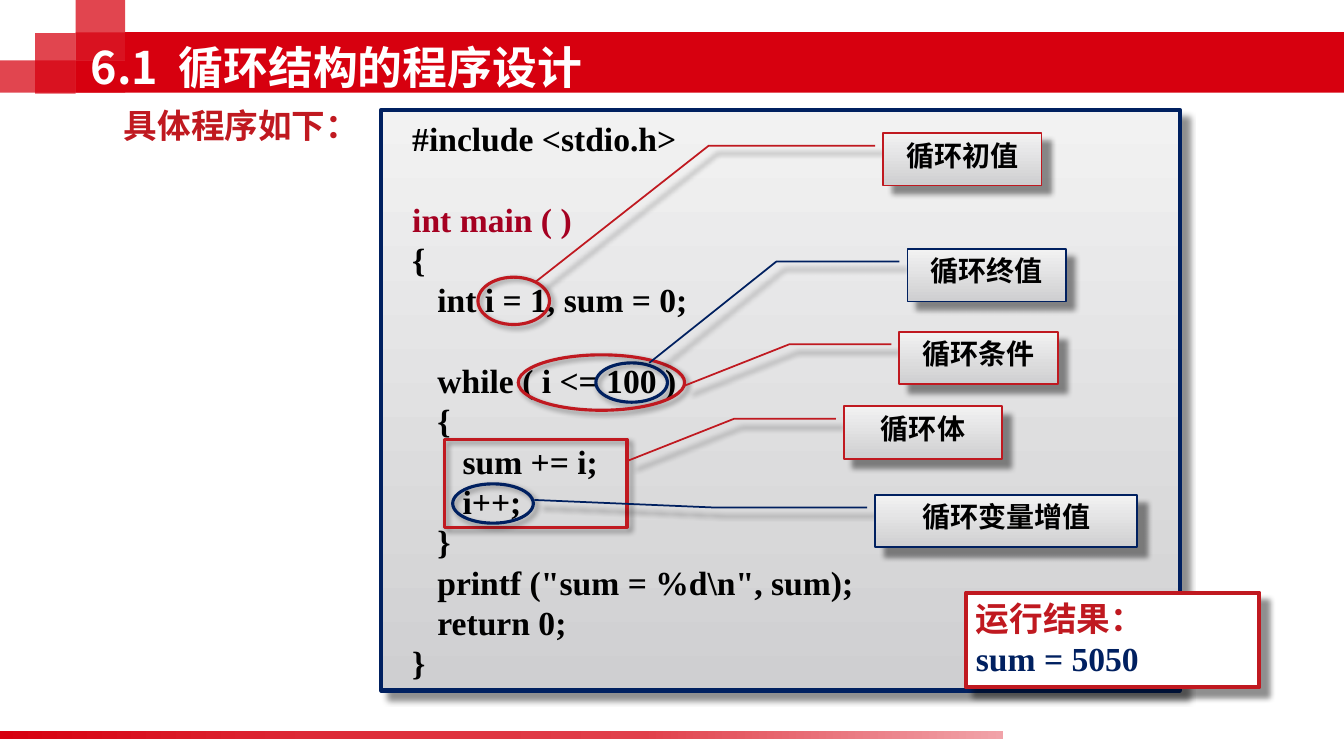
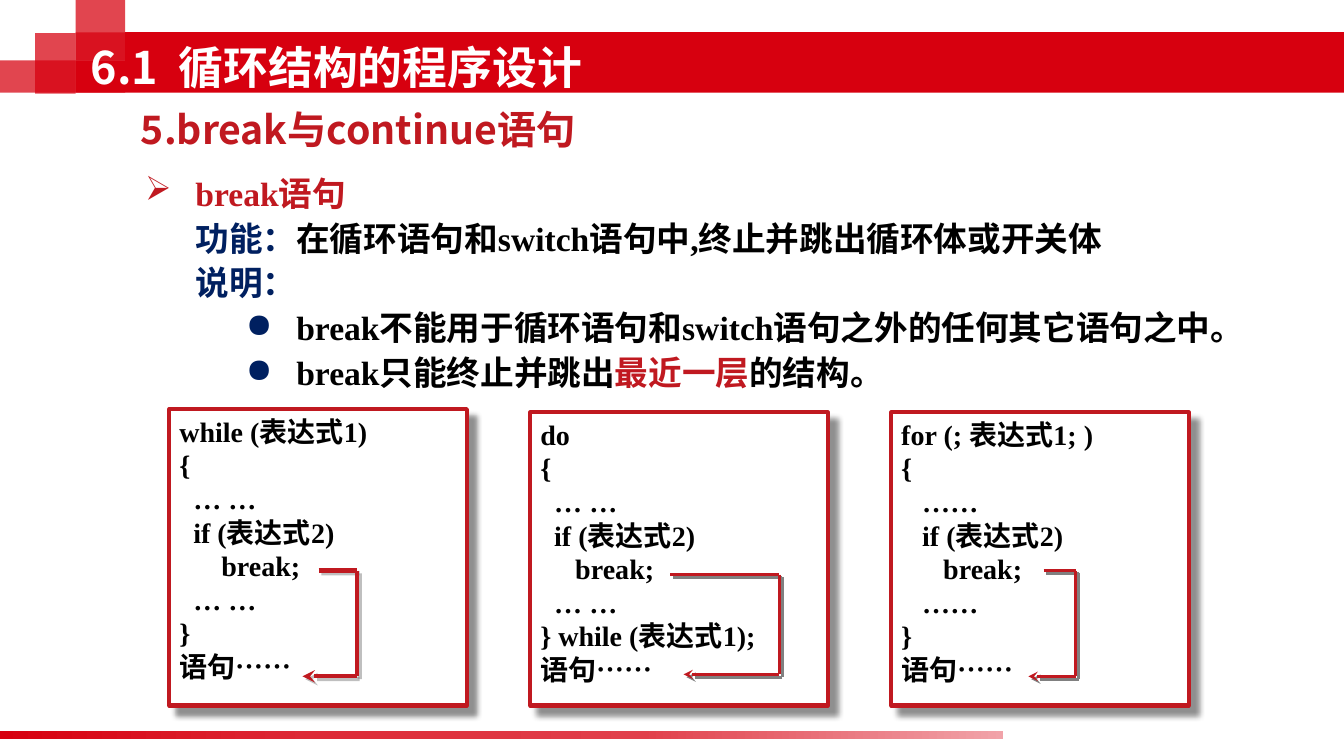
from lxml import etree
from pptx import Presentation
from pptx.dml.color import RGBColor
from pptx.enum import shapes, text
from pptx.oxml.ns import qn
from pptx.util import Inches, Pt

# Shared style
BAND, RED, NAVY, BLACK, WHITE = "D7000F", "C01920", "002060", "000000", "FFFFFF"
CRIMSON = "A50021"
SANS, SERIF = "Noto Sans CJK SC", "Times New Roman"
SILVER = [(0, "CFCFD1"), (100, "F2F2F2")]
# Shadows: colour, opacity %, blur pt, distance pt
DEEP = ("000000", 43, 4, 8.4)
SOFT = ("000000", 40, 4, 3)
SHAPE, MIDDLE = shapes.MSO_SHAPE, text.MSO_ANCHOR.MIDDLE


def rgb(value):
    return RGBColor.from_string(value)


def sub(parent, tag, **attrs):
    return etree.SubElement(parent, qn(tag), {k: str(v) for k, v in attrs.items()})


def color_node(parent, value, opacity=100):
    node = sub(parent, "a:srgbClr", val=value)
    if opacity < 100:
        sub(node, "a:alpha", val=opacity * 1000)


# Fills and shadows
def gradient(sp, stops, angle):
    sp.fill.gradient()
    sp.fill.gradient_angle = angle
    gs_list = sp.element.spPr.find(".//" + qn("a:gsLst"))
    for gs in list(gs_list):
        gs_list.remove(gs)
    for pos, value in stops:
        color_node(sub(gs_list, "a:gs", pos=pos * 1000), value)


def cast_shadow(sp, shadow):
    """Call after the line is set, so that the effects follow it."""
    spPr = sp.element.spPr
    effects = spPr.find(qn("a:effectLst"))
    if effects is None:
        effects = sub(spPr, "a:effectLst")
    if shadow:
        value, opacity, blur, dist = shadow
        outer = sub(effects, "a:outerShdw", blurRad=Pt(blur), dist=Pt(dist),
                    dir=45 * 60000, algn="tl", rotWithShape=0)
        color_node(outer, value, opacity)


# Shapes
def add_shape(s, kind, box, fill=None, line=None, width=3, shadow=None):
    sp = s.shapes.add_shape(kind, *map(Inches, box))
    sp.shadow.inherit = False
    if isinstance(fill, list):
        gradient(sp, fill, 90)
    elif fill:
        sp.fill.solid()
        sp.fill.fore_color.rgb = rgb(fill)
    else:
        sp.fill.background()
    if line:
        sp.line.color.rgb = rgb(line)
        sp.line.width = Pt(width)
    else:
        sp.line.fill.background()
    cast_shadow(sp, shadow)
    return sp


def add_line(s, start, end, width, shadow, arrow=False):
    ln = s.shapes.add_connector(shapes.MSO_CONNECTOR.STRAIGHT,
                                *map(Inches, (*start, *end)))
    ln.line.color.rgb = rgb(RED)
    ln.line.width = Pt(width)
    if arrow:
        sub(ln.line._get_or_add_ln(), "a:tailEnd", type="stealth")
    cast_shadow(ln, shadow)


# Text
def write(p, runs, size, font, spacing=None, align=text.PP_ALIGN.LEFT):
    """Fill a paragraph with (text, colour) runs."""
    p.alignment = align
    p.line_spacing = Pt(spacing or size * 1.2)
    for words, value in runs:
        r = p.add_run()
        r.text = words
        r.font.size = Pt(size)
        r.font.bold = True
        r.font.name = font
        r.font.color.rgb = rgb(value)
        sub(r.font._element, "a:ea", typeface=SANS)


def paragraphs(tf, count):
    return [tf.paragraphs[0]] + [tf.add_paragraph() for _ in range(count - 1)]


def write_lines(sp, lines, size):
    """Left-aligned serif lines of one (text, colour) run each."""
    tf = sp.text_frame
    tf.word_wrap = True
    tf.vertical_anchor = text.MSO_ANCHOR.TOP
    for p, run in zip(paragraphs(tf, len(lines)), lines):
        write(p, [run], size, SERIF)


def indent(p, left, first, bullet=None, bullet_color=None):
    pPr = p._p.get_or_add_pPr()
    pPr.set("marL", str(Inches(left)))
    pPr.set("indent", str(Inches(first)))
    if bullet_color:
        color_node(sub(pPr, "a:buClr"), bullet_color)
    if bullet:
        sub(pPr, "a:buChar", char=bullet)


def add_heading(s, box, words, size):
    tf = s.shapes.add_textbox(*map(Inches, box)).text_frame
    tf.word_wrap = False
    tf.vertical_anchor = MIDDLE
    write(tf.paragraphs[0], [(words, RED)], size, SANS)


# Frame shared by all slides
def decorate_layout(s, layout):
    """Draw the band, corner blocks and footer bar, then keep them on the layout."""
    parts = [add_shape(s, SHAPE.RECTANGLE, (1.24, 0.32, 12.09, 0.6), BAND)]
    for box in ((0, 0.6, 1.24, 0.32), (0.35, 0.33, 0.4, 0.6),
                (0.75, -0.02, 0.49, 0.62), (0.75, 0.32, 0.49, 0.28)):
        block = add_shape(s, SHAPE.RECTANGLE, box, BAND)
        sub(block.element.spPr.find(".//" + qn("a:srgbClr")), "a:alpha", val=73000)
        parts.append(block)
    parts.append(add_shape(s, SHAPE.RECTANGLE, (0.75, 0.6, 0.49, 0.32), BAND))
    bar = add_shape(s, SHAPE.RECTANGLE, (-0.02, 7.25, 9.97, 0.08))
    gradient(bar, [(0, BAND), (31, "DD2936"), (64, "E1404B"), (100, "F1A3A9")], 0)
    for part in parts + [bar]:
        layout.shapes.element.append(part.element)


def new_slide(prs):
    s = prs.slides.add_slide(prs.slide_layouts[5])
    title = s.shapes.title
    title.left, title.top, title.width, title.height = map(
        Inches, (0.8, 0.33, 8.9, 0.67))
    title.text_frame.vertical_anchor = MIDDLE
    write(title.text_frame.paragraphs[0], [("6.1  循环结构的程序设计", WHITE)], 32, SANS)
    return s


# Slide 1: annotated program
CODE = """#include <stdio.h>

int main ( )
{
   int i = 1, sum = 0;

   while ( i <= 100 )
   {
      sum += i;
      i++;
   }
   printf ("sum = %d\\n", sum);
   return 0;
}"""


def add_code(s):
    sp = add_shape(s, SHAPE.RECTANGLE, (3.78, 1.09, 7.92, 5.76), SILVER, NAVY,
                   shadow=DEEP)
    tf = sp.text_frame
    tf.word_wrap = True
    tf.vertical_anchor = MIDDLE
    lines = CODE.split("\n")
    rows = [(i, line) for i, line in enumerate(lines) if line]
    for p, (i, line) in zip(paragraphs(tf, len(rows)), rows):
        indent(p, 0, 0.21)
        write(p, [(line, CRIMSON if "main" in line else BLACK)], 24, SERIF)
        if i and not lines[i - 1]:
            p.space_before = Pt(28.8)  # one empty line of code


def add_mark(s, kind, box, value):
    add_shape(s, kind, box, line=value, width=2.25, shadow=SOFT)


def add_callout(s, words, value, x, y, elbow_x, target, w=1.57):
    """Label whose leader runs level to elbow_x, then to the target point."""
    h, level = 0.52, 0.24
    sp = add_shape(s, SHAPE.LINE_CALLOUT_2, (x, y, w, h), SILVER, value, 1.25, DEEP)
    target_x, target_y = target
    leader = (level, -0.08 / w, level, (elbow_x - x) / w,
              (target_y - y) / h, (target_x - x) / w)
    for i, ratio in enumerate(leader):
        sp.adjustments[i] = ratio
    tf = sp.text_frame
    tf.vertical_anchor = text.MSO_ANCHOR.TOP
    write(tf.paragraphs[0], [(words, BLACK)], 20, SANS, align=text.PP_ALIGN.CENTER)


def program_slide(s):
    add_heading(s, (1.13, 0.99, 2.56, 0.5), "具体程序如下：", 24)
    add_code(s)
    for kind, box, value in (
            (SHAPE.OVAL, (4.74, 2.75, 0.71, 0.47), RED),
            (SHAPE.OVAL, (5.91, 3.6, 0.71, 0.39), NAVY),
            (SHAPE.OVAL, (5.14, 3.52, 1.65, 0.55), RED),
            (SHAPE.RECTANGLE, (4.41, 4.36, 1.81, 0.87), RED),
            (SHAPE.OVAL, (4.49, 4.8, 0.8, 0.39), NAVY)):
        add_mark(s, kind, box, value)
    add_callout(s, "循环初值", RED, 8.76, 1.32, 7.03, (5.32, 2.79))
    add_callout(s, "循环终值", NAVY, 9, 2.47, 7.7, (6.44, 3.6))
    add_callout(s, "循环条件", RED, 8.92, 3.29, 7.83, (6.78, 3.83))
    add_callout(s, "循环体", RED, 8.37, 4.03, 7.28, (6.23, 4.57))
    add_callout(s, "循环变量增值", NAVY, 8.68, 4.91, 7.08, (5.3, 4.96), w=2.6)
    result = add_shape(s, SHAPE.RECTANGLE, (9.58, 5.88, 2.91, 0.94), WHITE, RED,
                       shadow=DEEP)
    write_lines(result, [("运行结果：", RED), ("sum = 5050", NAVY)], 24)


# Slide 2: the break statement
RULES = [  # left margin, first-line indent, bullet, bullet colour, runs
    (0.5, -0.5, "➢", RED, [("break语句", RED)]),
    (1.57, -1.07, None, None,
     [("功能：", NAVY), ("在循环语句和switch语句中,终止并跳出循环体或开关体", BLACK)]),
    (1, -0.5, None, None, [("说明：", NAVY)]),
    (1.5, -0.5, "●", NAVY,
     [("break不能用于循环语句和switch语句之外的任何其它语句之中。", BLACK)]),
    (1.5, -0.5, "●", NAVY,
     [("break只能终止并跳出", BLACK), ("最近一层", RED), ("的结构。", BLACK)]),
]
WHILE_LOOP = """while (表达式1)
{
  … …
  if (表达式2)
      break;
  … …
}
语句……"""
DO_LOOP = """do
{
  … …
  if (表达式2)
     break;
  … …
} while (表达式1);
语句……"""
FOR_LOOP = """for (; 表达式1; )
{
   ……
   if (表达式2)
      break;
   ……
}
语句……"""


def add_loop(s, x, top, code):
    box = (x, top, 2.95, 7 - top)
    sp = add_shape(s, SHAPE.RECTANGLE, box, WHITE, RED, shadow=DEEP)
    write_lines(sp, [(line, BLACK) for line in code.split("\n")], 20)


def add_exit_arrow(s, start, right, tip, width, opacity):
    """Path from break, round the right side, to the statement after the loop."""
    shadow = ("808080", opacity, 0, 2.8)
    add_line(s, start, (right, start[1]), width, shadow)
    add_line(s, (right, tip[1]), tip, width, shadow, arrow=True)
    add_line(s, (right, start[1]), (right, tip[1]), width, shadow)


def break_slide(s):
    add_heading(s, (1.3, 0.99, 4.88, 0.57), "5.break与continue语句", 28)
    tf = s.shapes.add_textbox(*map(Inches, (1.34, 1.62, 11.52, 2.31))).text_frame
    tf.word_wrap = True
    for p, (left, first, bullet, value, runs) in zip(paragraphs(tf, len(RULES)), RULES):
        indent(p, left, first, bullet, value)
        write(p, runs, 24, SERIF, spacing=32)
    add_loop(s, 1.68, 4.06, WHILE_LOOP)
    add_exit_arrow(s, (3.16, 5.66), 3.54, (3, 6.71), 3, 50)
    add_loop(s, 5.26, 4.09, DO_LOOP)
    add_exit_arrow(s, (6.65, 5.7), 7.73, (6.78, 6.69), 2.25, 100)
    add_loop(s, 8.84, 4.09, FOR_LOOP)
    add_exit_arrow(s, (10.35, 5.66), 10.67, (10.2, 6.71), 2.25, 100)


def main():
    prs = Presentation()
    prs.slide_width, prs.slide_height = Inches(13.33), Inches(7.5)
    first = new_slide(prs)
    decorate_layout(first, prs.slide_layouts[5])
    program_slide(first)
    break_slide(new_slide(prs))
    prs.save("out.pptx")


if __name__ == "__main__":
    main()
